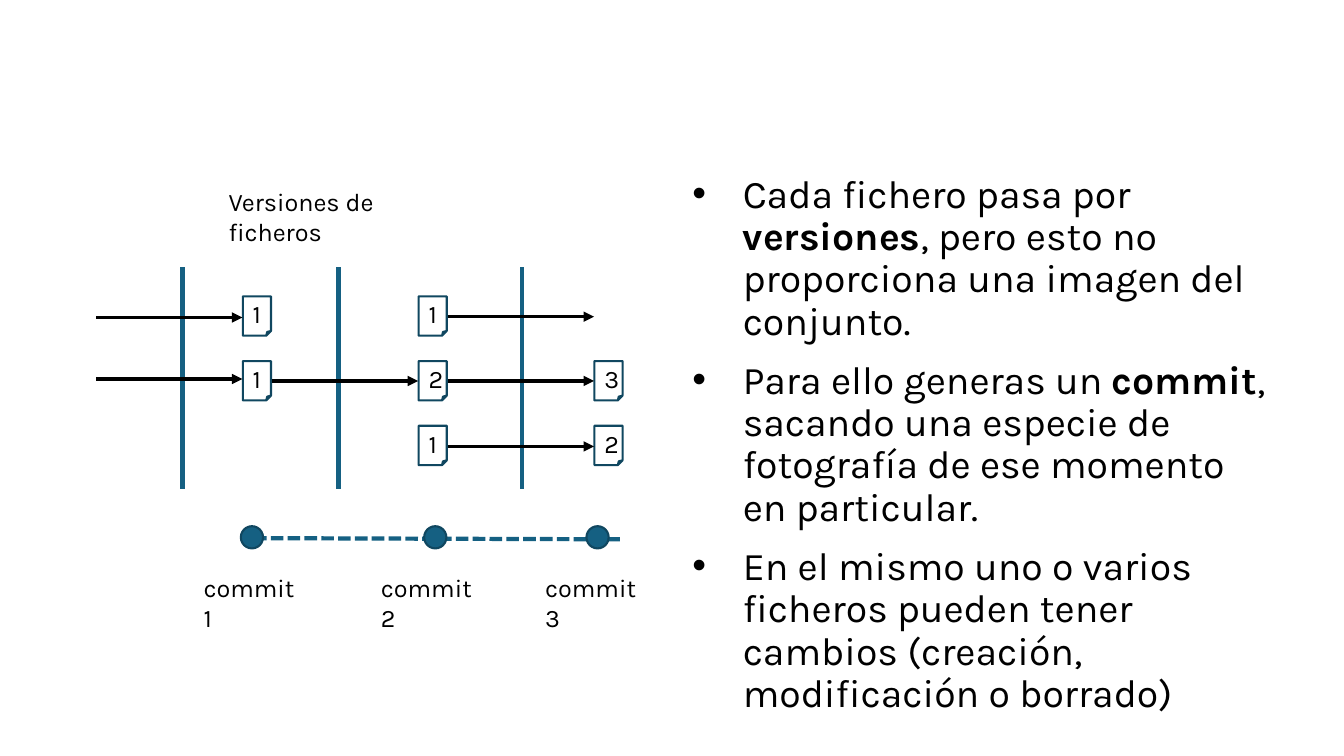
from lxml.etree import SubElement
from pptx import Presentation
from pptx.dml.color import RGBColor
from pptx.enum.dml import MSO_LINE_DASH_STYLE as Dash
from pptx.enum.shapes import MSO_CONNECTOR as Connector, MSO_SHAPE as Shape
from pptx.enum.text import MSO_ANCHOR as Anchor, PP_ALIGN as Align
from pptx.oxml.ns import qn
from pptx.util import Cm, Pt


def color(value):
    """Turn a hex string into a colour."""
    return RGBColor.from_string(value)


class Diagram:
    """Hold the style and the current slide."""

    font = "Karla"
    ink, paper, accent, outline = "000000", "FFFFFF", "156082", "104760"

    def __init__(self, slide):
        """Start drawing on a slide."""
        self.slide = slide

    def style(self, paragraph, size):
        """Set the font of a whole paragraph."""
        paragraph.font.name = self.font
        paragraph.font.size = Pt(size)
        paragraph.font.color.rgb = color(self.ink)

    def shape(self, kind, left, top, width, height, fill):
        """Draw an outlined preset shape."""
        shape = self.slide.shapes.add_shape(kind, Cm(left), Cm(top), Cm(width), Cm(height))
        shape.shadow.inherit = False
        shape.fill.solid()
        shape.fill.fore_color.rgb = color(fill)
        shape.line.color.rgb = color(self.outline)
        shape.line.width = Pt(1.5)
        return shape

    def file(self, left, top, version):
        """Draw a file with its version number."""
        frame = self.shape(Shape.FOLDED_CORNER, left, top, 0.71, 0.99, self.paper).text_frame
        frame.vertical_anchor = Anchor.MIDDLE
        paragraph = frame.paragraphs[0]
        paragraph.text = str(version)
        paragraph.alignment = Align.CENTER
        self.style(paragraph, 18)

    def line(self, start, end, line_color, width):
        """Draw a straight line."""
        line = self.slide.shapes.add_connector(Connector.STRAIGHT, *map(Cm, start + end))
        line.line.color.rgb = color(line_color)
        line.line.width = Pt(width)
        SubElement(line._element.spPr, qn("a:effectLst"))
        return line

    def arrow(self, left, y):
        """Draw an arrow to the next version."""
        arrow = self.line((left, y), (left + 3.68, y), self.ink, 2.5)
        SubElement(arrow.line._get_or_add_ln(), qn("a:tailEnd"), type="triangle")

    def frame(self, left, top, width, height):
        """Add a wrapping text box and return its text frame."""
        box = self.slide.shapes.add_textbox(Cm(left), Cm(top), Cm(width), Cm(height))
        box.text_frame.word_wrap = True
        return box.text_frame

    def label(self, left, top, width, text):
        """Write a label."""
        paragraph = self.frame(left, top, width, 1.02).paragraphs[0]
        paragraph.text = text
        self.style(paragraph, 18)

    def bullets(self, left, top, width, height, items):
        """Write a bulleted list with one bold word in each item's middle part."""
        frame = self.frame(left, top, width, height)
        frame.margin_left = frame.margin_right = frame.margin_top = frame.margin_bottom = 0
        for index, parts in enumerate(items):
            paragraph = frame.add_paragraph() if index else frame.paragraphs[0]
            properties = paragraph._p.get_or_add_pPr()
            properties.set("marL", str(Cm(1.27)))
            properties.set("indent", str(-Cm(1.27)))
            SubElement(properties, qn("a:buFont"), typeface="Arial")
            SubElement(properties, qn("a:buChar"), char="•")
            paragraph.line_spacing = 0.9
            paragraph.space_before = paragraph.space_after = Pt(6)
            self.style(paragraph, 28)
            for position, text in enumerate(parts):
                run = paragraph.add_run()
                run.text = text
                run.font.bold = position == 1


ITEMS = [
    ("Cada fichero pasa por ", "versiones",
     ", pero esto no proporciona una imagen del conjunto."),
    ("Para ello generas un ", "commit",
     ", sacando una especie de fotografía de ese momento en particular."),
    ("En el mismo uno o varios ficheros pueden tener cambios "
     "(creación, modificación o borrado)",),
]
VERSIONS = [(1, 1, None), (1, 2, 3), (None, 1, 2)]
ARROWS = [(0, 8), (0, 9.55), (1, 9.6), (2, 7.98), (2, 9.6), (2, 11.25)]
COMMITS = [(6.07, 4.88), (10.69, 9.35), (14.78, 13.49)]
COLUMN, ROW = 4.43, 1.63


def main():
    """Build the slide and save it."""
    presentation = Presentation()
    presentation.slide_width, presentation.slide_height = Cm(33.87), Cm(19.05)
    diagram = Diagram(presentation.slides.add_slide(presentation.slide_layouts[6]))

    diagram.bullets(17.45, 4.39, 14.73, 12.83, ITEMS)
    diagram.label(5.51, 4.57, 6.05, "Versiones de ficheros")
    for x in (4.6, 8.53, 13.16):
        diagram.line((x, 6.73), (x, 12.32), diagram.accent, 3)
    for row, versions in enumerate(VERSIONS):
        for column, version in enumerate(versions):
            if version:
                diagram.file(6.12 + COLUMN * column, 7.47 + ROW * row, version)
    for column, y in ARROWS:
        diagram.arrow(2.43 + COLUMN * column, y)

    timeline = diagram.line((6.4, 13.56), (15.7, 13.59), diagram.accent, 3)
    timeline.line.dash_style = Dash.SQUARE_DOT
    for number, (dot_left, label_left) in enumerate(COMMITS, 1):
        diagram.shape(Shape.OVAL, dot_left, 13.26, 0.56, 0.56, diagram.accent)
        diagram.label(label_left, 14.3, 2.97, f"commit {number}")

    presentation.save("out.pptx")


if __name__ == "__main__":
    main()
